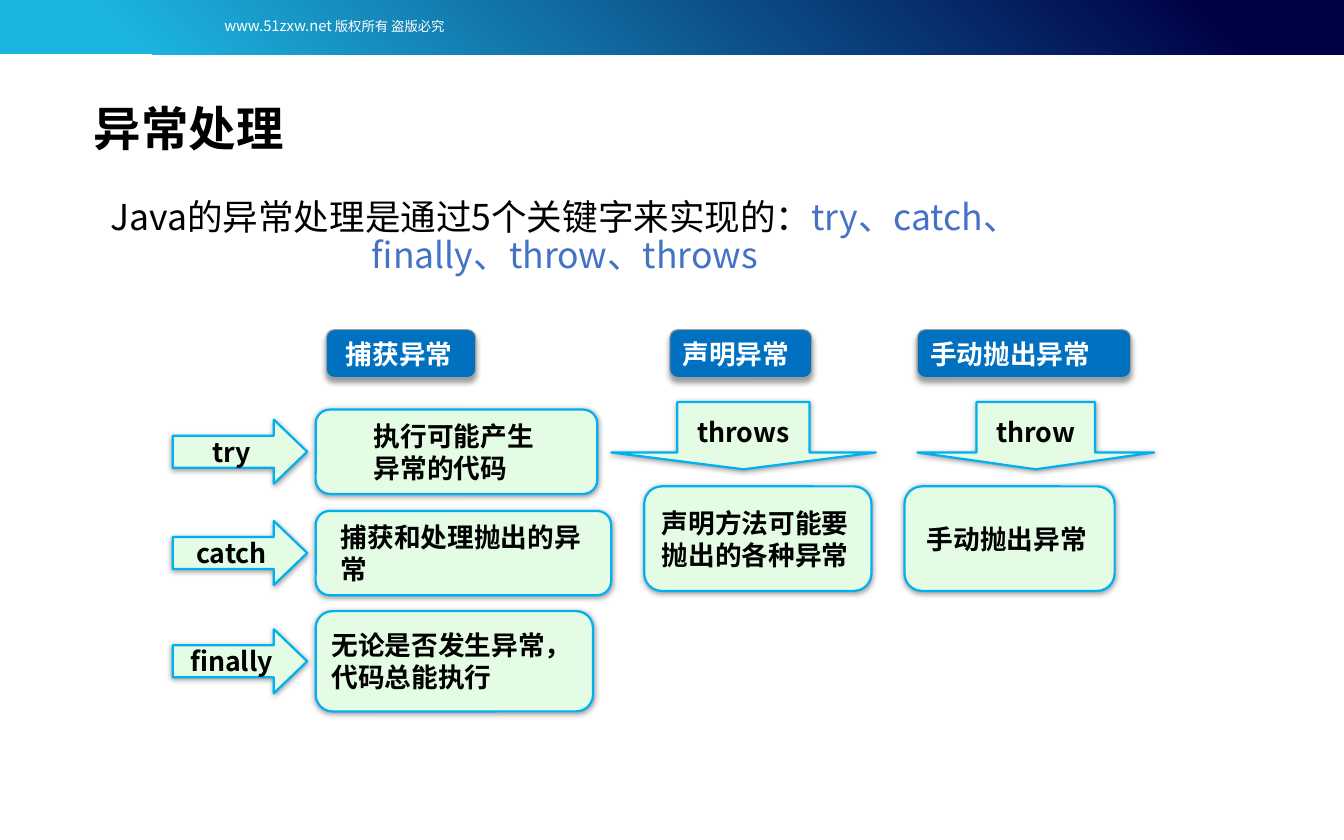
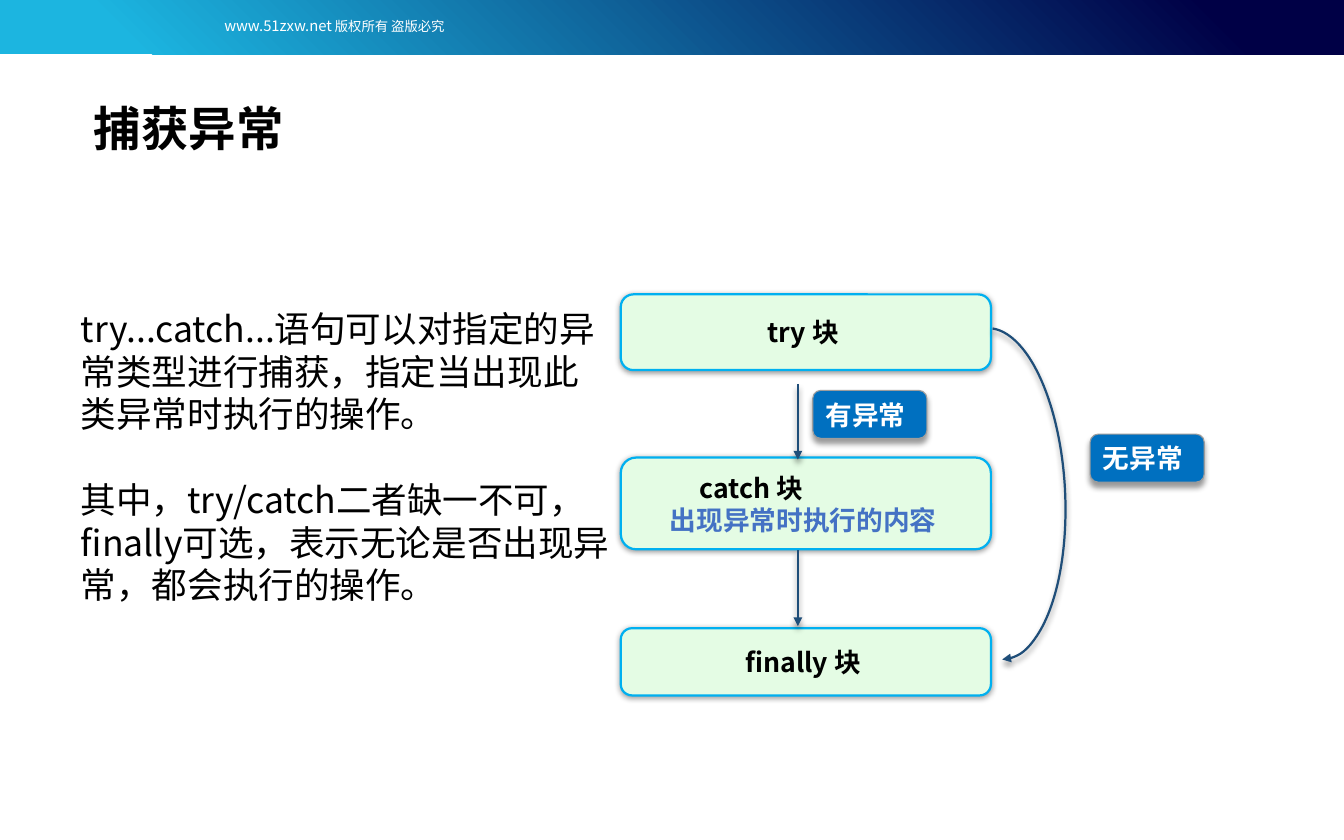
import pptx
import pptx.util
import pptx.dml.color
import pptx.enum.dml
import pptx.enum.shapes
import pptx.enum.text
import pptx.oxml.ns
from lxml import etree

Inches = pptx.util.Inches
Pt = pptx.util.Pt
qn = pptx.oxml.ns.qn
SHAPE = pptx.enum.shapes.MSO_SHAPE
ALIGN = pptx.enum.text.PP_ALIGN
ANCHOR = pptx.enum.text.MSO_ANCHOR

COLORS = {
    "navy": "000046", "cyan": "1CB5E0", "text": "000000", "white": "FFFFFF",
    "accent": "4472C4", "label": "0070C0", "label_edge": "9D9D9D",
    "box": "E4FCE4", "box_edge": "00B0F0", "flow": "1F4E79",
}
FONT = "Noto Sans CJK SC"
SLIDE_WIDTH = 12.6
SLIDE_HEIGHT = SLIDE_WIDTH * 10 / 16
BAND_HEIGHT = 0.51

BOX_STYLE = {"fill": "box", "edge": "box_edge", "width": 1.5, "drop": 1}
LABEL_STYLE = {"fill": "label", "edge": "label_edge", "width": 0.75, "drop": 3}
BOX_TEXT = {"size": 18, "bold": True}
LABEL_TEXT = {"size": 18, "bold": True, "color": "white", "name": "Arial"}
BODY_TEXT = {"size": 24}

COPYRIGHT = [("www.51zxw.net", {"size": 10, "color": "white"}),
             (" 版权所有 盗版必究", {"size": 9, "color": "white"})]

KEYWORDS_INTRO = [("Java的异常处理是通过5个关键字来实现的：", BODY_TEXT),
                  ("try、catch、 finally、throw、throws", {"size": 24, "color": "accent"})]
HEADINGS = [("捕获异常", 3.06, 1.4, 0.16), ("声明异常", 6.28, 1.33, 0.1),
            ("手动抛出异常", 8.6, 2, 0.1)]
CATCHING = [
    ("try", ["执行可能产生", "异常的代码"], 3.84, 2.64, 0.79),
    ("catch", ["捕获和处理抛出的异常"], 4.79, 2.77, 0.79),
    ("finally", ["无论是否发生异常，", "代码总能执行"], 5.73, 2.6, 0.94),
]
THROWING = [
    ("throws", 5.73, 2.48, ["声明方法可能要", "抛出的各种异常"], 6.04, 2.13),
    ("throw", 8.6, 2.22, ["手动抛出异常"], 8.48, 1.97),
]

TRY_CATCH_NOTES = [
    "try...catch...语句可以对指定的异常类型进行捕获，指定当出现此类异常时执行的操作。",
    "其中，try/catch二者缺一不可，",
    "finally可选，表示无论是否出现异常，都会执行的操作。",
]
BLOCKS = [
    ([[("try 块", BOX_TEXT)]], 2.76, 0.71),
    ([[("catch 块", BOX_TEXT)],
      [("出现异常时执行的内容", {**BOX_TEXT, "color": "accent"})]], 4.29, 0.86),
    ([[("finally 块", BOX_TEXT)]], 5.89, 0.63),
]
OUTCOMES = [("有异常", 7.62, 3.66), ("无异常", 10.22, 4.07)]
FLOW_X, FLOW_STARTS, FLOW_LENGTH = 7.48, (3.6, 5.16), 0.71


def rgb(name):
    return pptx.dml.color.RGBColor.from_string(COLORS[name])


def place(left, top, width, height):
    return [Inches(value) for value in (left, top, width, height)]


def write(frame, paragraphs, align=ALIGN.LEFT, **frame_format):
    for key, value in {"word_wrap": True, **frame_format}.items():
        setattr(frame, key, value)
    for index, runs in enumerate(paragraphs):
        paragraph = frame.paragraphs[0] if index == 0 else frame.add_paragraph()
        paragraph.alignment = align
        for text, style in runs:
            run = paragraph.add_run()
            run.text = text
            font = {"name": FONT, "color": "text", "bold": False, **style}
            run.font.color.rgb = rgb(font.pop("color"))
            font["size"] = Pt(font["size"])
            for key, value in font.items():
                setattr(run.font, key, value)
            etree.SubElement(run.font._element, qn("a:ea"), typeface=FONT)
    return frame


def add_text(slide, box, paragraphs, **options):
    return write(slide.shapes.add_textbox(*place(*box)).text_frame, paragraphs, **options)


def add_drop_shadow(shape, distance):
    properties = shape._element.spPr
    effects = properties.find(qn("a:effectLst"))
    if effects is None:
        effects = etree.SubElement(properties, qn("a:effectLst"))
    shadow = etree.SubElement(effects, qn("a:outerShdw"), blurRad=str(Pt(4)),
                              dist=str(Pt(distance)), dir="5400000", rotWithShape="0")
    black = etree.SubElement(shadow, qn("a:srgbClr"), val=COLORS["text"])
    etree.SubElement(black, qn("a:alpha"), val="40000")


def add_panel(slide, kind, box, style, paragraphs, adjustments=(), **options):
    panel = slide.shapes.add_shape(kind, *place(*box))
    panel.shadow.inherit = False
    for index, value in enumerate(adjustments):
        panel.adjustments[index] = value
    panel.fill.solid()
    panel.fill.fore_color.rgb = rgb(style["fill"])
    panel.line.color.rgb = rgb(style["edge"])
    panel.line.width = Pt(style["width"])
    add_drop_shadow(panel, style["drop"])
    return write(panel.text_frame, paragraphs, vertical_anchor=ANCHOR.MIDDLE, **options)


def add_box(slide, box, paragraphs):
    frame = add_panel(slide, SHAPE.ROUNDED_RECTANGLE, box, BOX_STYLE, paragraphs,
                      margin_left=Inches(0.09), margin_right=Inches(0.14))
    frame._element.find(qn("a:bodyPr")).set("anchorCtr", "1")
    return frame


def add_label(slide, text, left, top, width, margin=0.1):
    add_panel(slide, SHAPE.ROUNDED_RECTANGLE, (left, top, width, 0.45), LABEL_STYLE,
              [[(text, LABEL_TEXT)]], margin_left=Inches(margin))


def add_keyword(slide, kind, box, keyword, adjustments):
    add_panel(slide, kind, box, BOX_STYLE, [[(keyword, BOX_TEXT)]], adjustments,
              align=ALIGN.CENTER)


def finish_flow(flow):
    flow.line.color.rgb = rgb("flow")
    flow.line.width = Pt(1.5)
    etree.SubElement(flow._element.spPr.find(qn("a:ln")), qn("a:tailEnd"), type="triangle")
    add_drop_shadow(flow, 3)


def start_slide(deck, title):
    slide = deck.slides.add_slide(deck.slide_layouts[5])
    band = slide.shapes.add_shape(SHAPE.RECTANGLE, *place(0, 0, SLIDE_WIDTH, BAND_HEIGHT))
    band.shadow.inherit = False
    band.line.fill.background()
    band.fill.gradient()
    band.fill.gradient_angle = 45
    for stop, (color, position) in zip(band.fill.gradient_stops,
                                       (("cyan", 0.1), ("navy", 0.9))):
        stop.color.rgb = rgb(color)
        stop.position = position
    copyright_line = add_text(slide, (0.56, 0.06, 5.15, 0.32), [COPYRIGHT],
                              align=ALIGN.CENTER)
    copyright_line.paragraphs[0].line_spacing = 1.3
    heading = slide.shapes.title
    heading.left, heading.top, heading.width, heading.height = place(0.78, 0.88, 1.99, 0.64)
    write(heading.text_frame, [[(title, {"size": 32, "bold": True})]],
          vertical_anchor=ANCHOR.MIDDLE, word_wrap=False)
    return slide


def build_handling(deck):
    slide = start_slide(deck, "异常处理")
    intro = add_text(slide, (0.9, 1.82, 8.79, 1.03), [KEYWORDS_INTRO], align=ALIGN.CENTER)
    intro.paragraphs[0].line_spacing = 0.9
    for text, left, width, margin in HEADINGS:
        add_label(slide, text, left, 3.09, width, margin)
    for keyword, lines, top, width, height in CATCHING:
        add_keyword(slide, SHAPE.RIGHT_ARROW, (1.62, top + height / 2 - 0.3, 1.26, 0.6),
                    keyword, (0.5, 0.52))
        add_box(slide, (2.96, top, width, height), [[(line, BOX_TEXT)] for line in lines])
    for keyword, arrow_left, arrow_width, lines, left, width in THROWING:
        add_keyword(slide, SHAPE.DOWN_ARROW, (arrow_left, 3.77, arrow_width, 0.63),
                    keyword, (0.5, 0.25))
        add_box(slide, (left, 4.56, width, 0.98), [[(line, BOX_TEXT)] for line in lines])


def build_catching(deck):
    slide = start_slide(deck, "捕获异常")
    notes = add_text(slide, (0.66, 2.83, 5.16, 2.93),
                     [[(line, BODY_TEXT)] for line in TRY_CATCH_NOTES])
    notes.paragraphs[1].space_before = Pt(29)
    for paragraphs, top, height in BLOCKS:
        block = add_box(slide, (5.82, top, 3.47, height), paragraphs)
        if len(paragraphs) > 1:
            block.paragraphs[0]._p.get_or_add_pPr().set("marL", str(Inches(0.28)))
    for text, left, top in OUTCOMES:
        add_label(slide, text, left, top, 1.07)
    for start in FLOW_STARTS:
        finish_flow(slide.shapes.add_connector(
            pptx.enum.shapes.MSO_CONNECTOR.STRAIGHT, Inches(FLOW_X), Inches(start),
            Inches(FLOW_X), Inches(start + FLOW_LENGTH)))
    bypass = slide.shapes.add_shape(SHAPE.ARC, *place(7.77, 3.97, 3.11, 1.32))
    bypass.shadow.inherit = False
    bypass.rotation = 87.1
    bypass.adjustments[0] = 109.3
    bypass.adjustments[1] = 0.17
    bypass.fill.background()
    finish_flow(bypass)


def main():
    deck = pptx.Presentation()
    deck.slide_width = Inches(SLIDE_WIDTH)
    deck.slide_height = Inches(SLIDE_HEIGHT)
    deck.element.find(qn("p:sldSz")).attrib.pop("type", None)
    build_handling(deck)
    build_catching(deck)
    deck.save("out.pptx")


if __name__ == "__main__":
    main()
